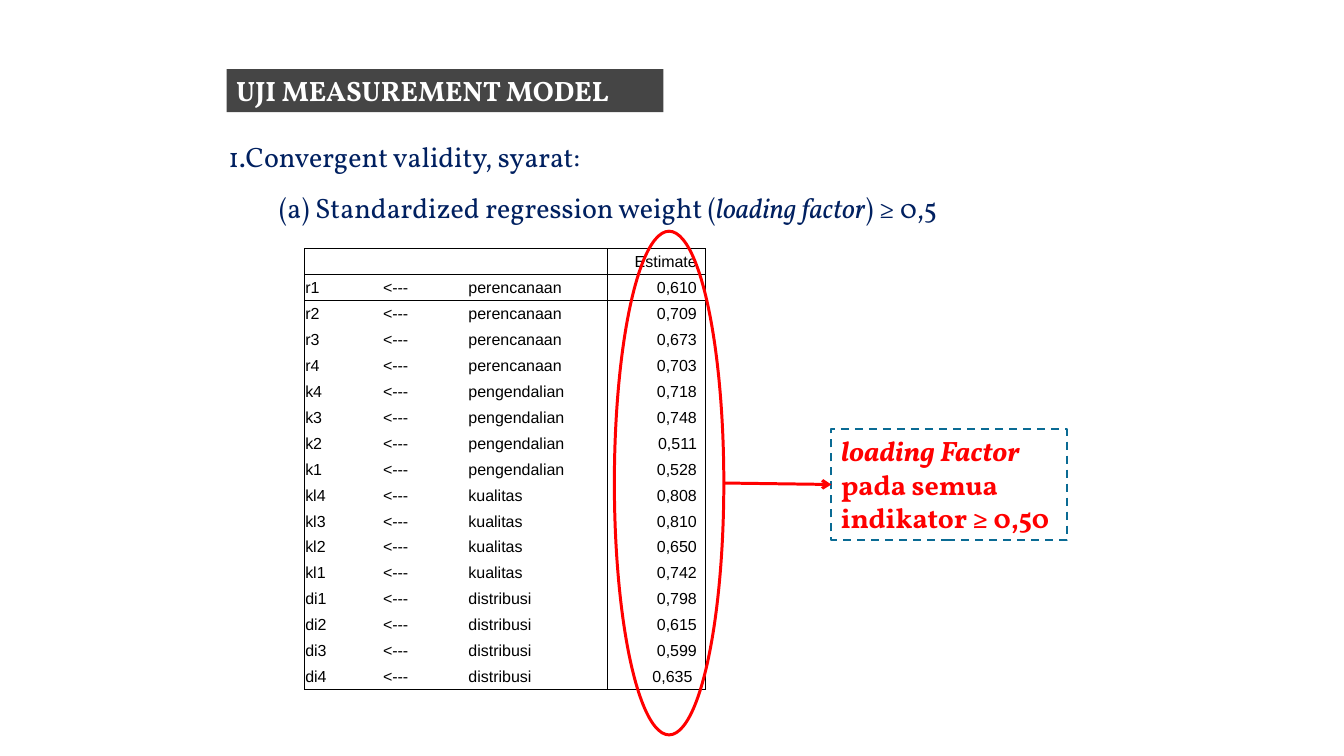
from lxml import etree
from pptx import Presentation
from pptx.dml.color import RGBColor
from pptx.enum.dml import MSO_LINE
from pptx.enum.shapes import MSO_CONNECTOR, MSO_SHAPE
from pptx.enum.text import MSO_ANCHOR, PP_ALIGN
from pptx.oxml.ns import qn
from pptx.util import Inches, Pt

RECT, OVAL = MSO_SHAPE.RECTANGLE, MSO_SHAPE.OVAL
STRAIGHT, DASH = MSO_CONNECTOR.STRAIGHT, MSO_LINE.DASH
TOP, MIDDLE = MSO_ANCHOR.TOP, MSO_ANCHOR.MIDDLE
LEFT, RIGHT = PP_ALIGN.LEFT, PP_ALIGN.RIGHT

COLORS = {"band": "454545", "white": "FFFFFF", "navy": "002060",
          "red": "FF0000", "teal": "0A6B94", "black": "000000"}
SERIF, SANS = "Vollkorn", "Arial"
NO_GRID_STYLE = "{2D5ABB26-0587-4C30-8999-92F81FD0307C}"

LOADINGS = [
    ("perencanaan", [("r1", "0,610"), ("r2", "0,709"), ("r3", "0,673"), ("r4", "0,703")]),
    ("pengendalian", [("k4", "0,718"), ("k3", "0,748"), ("k2", "0,511"), ("k1", "0,528")]),
    ("kualitas", [("kl4", "0,808"), ("kl3", "0,810"), ("kl2", "0,650"), ("kl1", "0,742")]),
    ("distribusi", [("di1", "0,798"), ("di2", "0,615"), ("di3", "0,599"), ("di4", "0,635 ")]),
]
COL_WIDTHS = [0.81, 0.81, 1.54, 1.02]


def color(name):
    return RGBColor.from_string(COLORS[name])


def box_of(*lengths):
    return [Inches(v) for v in lengths]


def set_font(p, name, size, color_name, bold=False):
    p.font.name, p.font.size, p.font.bold = name, Pt(size), bold
    p.font.color.rgb = color(color_name)


def add_runs(p, runs):
    for text, italic in runs:
        r = p.add_run()
        r.text = text
        r.font.italic = italic


def outline(shape, color_name, width):
    shape.line.color.rgb = color(color_name)
    shape.line.width = Pt(width)


def add_title(s, box):
    sp = s.shapes.title
    sp.left, sp.top, sp.width, sp.height = box
    sp.fill.solid()
    sp.fill.fore_color.rgb = color("band")
    tf = sp.text_frame
    tf.text = "UJI MEASUREMENT MODEL"
    tf.vertical_anchor = MIDDLE
    p = tf.paragraphs[0]
    p.alignment = LEFT
    set_font(p, SERIF, 21, "white", bold=True)


def add_criteria(s, box):
    tf = s.shapes.add_textbox(*box).text_frame
    tf.word_wrap = True
    heading, detail = tf.paragraphs[0], tf.add_paragraph()
    add_runs(heading, [("Convergent validity, syarat:", False)])
    add_runs(detail, [("(a) Standardized regression weight (", False),
                      ("loading factor", True), (") ≥ 0,5", False)])
    for p in (heading, detail):
        set_font(p, SERIF, 21, "navy")
        p.space_after = Pt(12.6)
    pPr = heading._p.get_or_add_pPr()
    pPr.set("marL", "0")
    pPr.set("indent", str(-Inches(0.53)))
    number = etree.Element(qn("a:buAutoNum"), type="arabicPeriod")
    pPr.find(qn("a:defRPr")).addprevious(number)
    detail._p.get_or_add_pPr().set("marL", str(Inches(0.53)))


def set_borders(cell, sides):
    tcPr = cell._tc.get_or_add_tcPr()
    for side in sides:
        ln = etree.SubElement(tcPr, qn(f"a:ln{side}"), w=str(Pt(0.5)))
        fill = etree.SubElement(ln, qn("a:solidFill"))
        etree.SubElement(fill, qn("a:srgbClr"), val=COLORS["black"])


def add_loadings_table(s, box):
    rows = [("", "", "", "Estimate")]
    rows += [(item, "<---", factor, value)
             for factor, items in LOADINGS for item, value in items]
    frame = s.shapes.add_table(len(rows), len(COL_WIDTHS), *box)
    table = frame.table
    table.first_row = table.horz_banding = False
    next(frame.element.iter(qn("a:tableStyleId"))).text = NO_GRID_STYLE
    for column, width in zip(table.columns, COL_WIDTHS):
        column.width = Inches(width)
    last_row, last_col = len(rows) - 1, len(COL_WIDTHS) - 1
    for i, row in enumerate(rows):
        table.rows[i].height = int(box[3] / len(rows))
        for j, text in enumerate(row):
            cell = table.cell(i, j)
            cell.text = text
            cell.vertical_anchor = MIDDLE
            cell.margin_left = Inches(0.09 if j == 2 else 0.01)
            cell.margin_right = Inches(0.09 if j == last_col else 0.01)
            cell.margin_top, cell.margin_bottom = Inches(0.01), 0
            p = cell.text_frame.paragraphs[0]
            p.alignment = RIGHT if j == last_col else LEFT
            set_font(p, SANS, 12, "black")
            edges = {"L": j in (0, last_col), "R": j >= last_col - 1,
                     "T": i <= 1, "B": i in (0, last_row)}
            set_borders(cell, [side for side, drawn in edges.items() if drawn])
            cell.fill.background()


def add_highlight(s, box):
    sp = s.shapes.add_shape(OVAL, *box)
    sp.shadow.inherit = False
    sp.fill.background()
    outline(sp, "red", 2.25)
    return sp


def add_callout(s, box):
    sp = s.shapes.add_shape(RECT, *box)
    sp.shadow.inherit = False
    sp.fill.background()
    outline(sp, "teal", 1.5)
    sp.line.dash_style = DASH
    tf = sp.text_frame
    tf.word_wrap = True
    tf.vertical_anchor = TOP
    p = tf.paragraphs[0]
    p.alignment = LEFT
    add_runs(p, [("loading Factor ", True), ("pada semua indikator ≥ 0,50", False)])
    set_font(p, SERIF, 21, "red", bold=True)
    return sp


def add_arrow(s, highlight, callout):
    x = highlight.left + highlight.width
    y = highlight.top + highlight.height // 2
    line = s.shapes.add_connector(STRAIGHT, x, y, x, y)
    line.end_connect(callout, 1)
    outline(line, "red", 2.25)
    etree.SubElement(line.line._get_or_add_ln(), qn("a:tailEnd"), type="arrow")
    etree.SubElement(line._element.spPr, qn("a:effectLst"))


def main():
    prs = Presentation()
    prs.slide_width, prs.slide_height = Inches(14), Inches(7.88)
    s = prs.slides.add_slide(prs.slide_layouts[5])
    add_criteria(s, box_of(2.28, 1.41, 9.71, 0.99))
    add_title(s, box_of(2.36, 0.72, 4.55, 0.45))
    add_loadings_table(s, box_of(3.17, 2.59, sum(COL_WIDTHS), 4.6))
    highlight = add_highlight(s, box_of(6.4, 2.41, 1.14, 5.25))
    callout = add_callout(s, box_of(8.66, 4.47, 2.45, 1.16))
    add_arrow(s, highlight, callout)
    prs.save("out.pptx")


if __name__ == "__main__":
    main()
